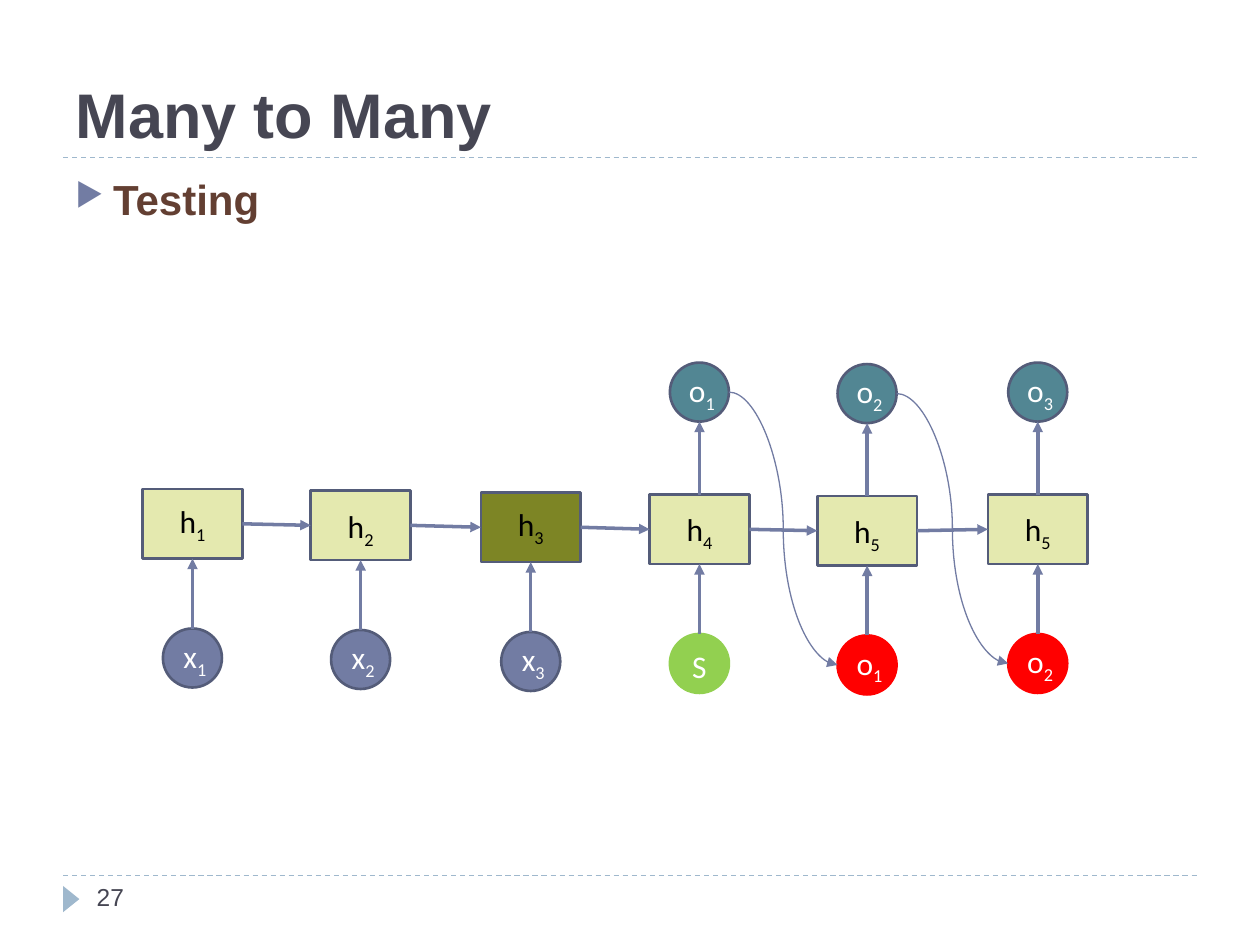
from dataclasses import dataclass

from lxml import etree
from pptx import Presentation
from pptx.dml.color import RGBColor
from pptx.enum.dml import MSO_LINE
from pptx.enum.shapes import MSO_CONNECTOR, MSO_SHAPE
from pptx.enum.text import MSO_ANCHOR, MSO_AUTO_SIZE, PP_ALIGN
from pptx.oxml.ns import qn
from pptx.util import Cm, Pt

STRAIGHT, CURVE = MSO_CONNECTOR.STRAIGHT, MSO_CONNECTOR.CURVE
RECTANGLE, OVAL = MSO_SHAPE.RECTANGLE, MSO_SHAPE.OVAL
TRIANGLE = MSO_SHAPE.ISOSCELES_TRIANGLE
LEFT, CENTER = PP_ALIGN.LEFT, PP_ALIGN.CENTER
TOP, BOTTOM = MSO_ANCHOR.TOP, MSO_ANCHOR.BOTTOM
DASH = MSO_LINE.DASH

# Palette
INK, BROWN, BLACK, WHITE = "464653", "633F32", "000000", "FFFFFF"
PALE_BLUE, VIOLET, OUTLINE = "9FB8CD", "727CA3", "545C79"
LIME, OLIVE, TEAL, GREEN, RED = "E4E9AF", "7D8525", "528693", "92D050", "FF0000"

# Diagram measures in centimetres
BOX_WIDTH, BOX_HEIGHT, CIRCLE = 2.01, 1.4, 1.19
INPUT_DROP, OUTPUT_RISE = 2.81, 2.66
LABEL_WIDTH, LABEL_HEIGHT = 1.04, 1.02


@dataclass
class Step:
    """One time step: input circle, hidden box and optional output circle."""
    center: float
    top: float
    hidden: str
    label_drop: float
    input: str
    output: str = ""
    hidden_fill: str = LIME
    input_fill: str = VIOLET
    input_line: str = OUTLINE

    @property
    def middle(self) -> float:
        return self.top + BOX_HEIGHT / 2

    @property
    def input_top(self) -> float:
        return self.top + INPUT_DROP

    @property
    def output_top(self) -> float:
        return self.top - OUTPUT_RISE


STEPS = [
    Step(3.88, 9.86, "h1", 0.13, "x1"),
    Step(7.27, 9.89, "h2", 0.2, "x2"),
    Step(10.7, 9.93, "h3", 0.13, "x3", hidden_fill=OLIVE),
    Step(14.1, 9.97, "h4", 0.18, "S", "o1", input_fill=GREEN, input_line=GREEN),
    Step(17.48, 10.0, "h5", 0.2, "o1", "o2", input_fill=RED, input_line=RED),
    Step(20.92, 9.97, "h5", 0.18, "o2", "o3", input_fill=RED, input_line=RED),
]


def rgb(color: str) -> RGBColor:
    return RGBColor.from_string(color)


def write_text(shape, text: str, *, size: float, color: str, font: str = "Arial",
               bold: bool = False, subscript: str = "", align=LEFT,
               anchor=TOP, wrap: bool = True, bullet: str = "") -> None:
    frame = shape.text_frame
    frame.word_wrap = wrap
    frame.auto_size = MSO_AUTO_SIZE.NONE
    frame.vertical_anchor = anchor
    paragraph = frame.paragraphs[0]
    paragraph.alignment = align
    if bullet:
        add_bullet(paragraph, bullet)
    for content in filter(None, (text, subscript)):
        run = paragraph.add_run()
        run.text = content
        run.font.size, run.font.bold, run.font.name = Pt(size), bold, font
        run.font.color.rgb = rgb(color)
    if subscript:
        run._r.get_or_add_rPr().set("baseline", "-25000")


def add_bullet(paragraph, character: str) -> None:
    properties = paragraph._p.get_or_add_pPr()
    properties.set("marL", str(Cm(0.76)))
    properties.set("indent", str(-Cm(0.76)))
    color = etree.SubElement(properties, qn("a:buClr"))
    etree.SubElement(color, qn("a:srgbClr"), val=VIOLET)
    etree.SubElement(properties, qn("a:buSzPct"), val="76000")
    etree.SubElement(properties, qn("a:buChar"), char=character)


def add_text(slide, left: float, top: float, width: float, height: float,
             text: str, **text_format) -> None:
    box = slide.shapes.add_textbox(Cm(left), Cm(top), Cm(width), Cm(height))
    write_text(box, text, **text_format)


def add_label(slide, center: float, top: float, name: str, color: str) -> None:
    add_text(slide, center - LABEL_WIDTH / 2, top, LABEL_WIDTH, LABEL_HEIGHT,
             name[0], subscript=name[1:], size=18, color=color, font="Calibri",
             align=CENTER, wrap=False)


def add_shape(slide, kind, left: float, top: float, width: float, height: float,
              fill: str, line: str = ""):
    shape = slide.shapes.add_shape(kind, Cm(left), Cm(top), Cm(width), Cm(height))
    shape.shadow.inherit = False
    shape.fill.solid()
    shape.fill.fore_color.rgb = rgb(fill)
    if line:
        shape.line.color.rgb = rgb(line)
        shape.line.width = Pt(1.5)
    else:
        shape.line.fill.background()
    return shape


def add_circle(slide, center: float, top: float, name: str, fill: str,
               line: str = OUTLINE) -> None:
    add_shape(slide, OVAL, center - CIRCLE / 2, top, CIRCLE, CIRCLE, fill, line)
    if len(name) > 1:
        add_label(slide, center + 0.05, top + 0.04, name, WHITE)
    else:
        add_label(slide, center, top + 0.13, name, WHITE)


def add_line(slide, x1: float, y1: float, x2: float, y2: float, *,
             kind=STRAIGHT, color: str = VIOLET, width: float = 2,
             dash=None, arrow: bool = True) -> None:
    line = slide.shapes.add_connector(kind, Cm(x1), Cm(y1), Cm(x2), Cm(y2))
    line.line.color.rgb = rgb(color)
    line.line.width = Pt(width)
    if dash:
        line.line.dash_style = dash
    if arrow:
        etree.SubElement(line.line._get_or_add_ln(), qn("a:tailEnd"), type="triangle")
    etree.SubElement(line._element.spPr, qn("a:effectLst"))


def add_step(slide, step: Step) -> None:
    add_shape(slide, RECTANGLE, step.center - BOX_WIDTH / 2, step.top,
              BOX_WIDTH, BOX_HEIGHT, step.hidden_fill, OUTLINE)
    add_label(slide, step.center, step.top + step.label_drop, step.hidden, BLACK)
    add_circle(slide, step.center, step.input_top, step.input,
               step.input_fill, step.input_line)
    add_line(slide, step.center, step.input_top, step.center, step.top + BOX_HEIGHT)
    if step.output:
        add_circle(slide, step.center, step.output_top, step.output, TEAL)
        add_line(slide, step.center, step.top, step.center, step.output_top + CIRCLE)


def main() -> None:
    presentation = Presentation()
    presentation.slide_width, presentation.slide_height = Cm(25.4), Cm(19.05)
    slide = presentation.slides.add_slide(presentation.slide_layouts[5])

    # Rules and page marker
    for y in (17.65, 3.18):
        add_line(slide, 1.27, y, 24.13, y, color=PALE_BLUE, width=0.75,
                 dash=DASH, arrow=False)
    marker = add_shape(slide, TRIANGLE, 1.17, 17.96, 0.53, 0.33, PALE_BLUE)
    marker.rotation = 90
    add_text(slide, 1.7, 17.65, 5.51, 1.02, "27", size=14, color=INK)

    # Title and bullet
    title = slide.shapes.title
    title.left, title.top, title.width, title.height = Cm(1.27), Cm(0.43), Cm(22.86), Cm(2.74)
    write_text(title, "Many to Many", size=36, color=INK, bold=True, anchor=BOTTOM)
    add_text(slide, 1.27, 3.38, 22.86, 13.72, "Testing", size=24, color=BROWN,
             bold=True, bullet="▶")

    # Network steps, then the links between neighbours
    for step in STEPS:
        add_step(slide, step)
    for step, following in zip(STEPS, STEPS[1:]):
        add_line(slide, step.center + BOX_WIDTH / 2, step.middle,
                 following.center - BOX_WIDTH / 2, following.middle)
        if step.output:
            add_line(slide, step.center + CIRCLE / 2, step.output_top + CIRCLE / 2,
                     following.center - CIRCLE / 2, following.input_top + CIRCLE / 2,
                     kind=CURVE, width=0.75)

    presentation.save("out.pptx")


if __name__ == "__main__":
    main()
